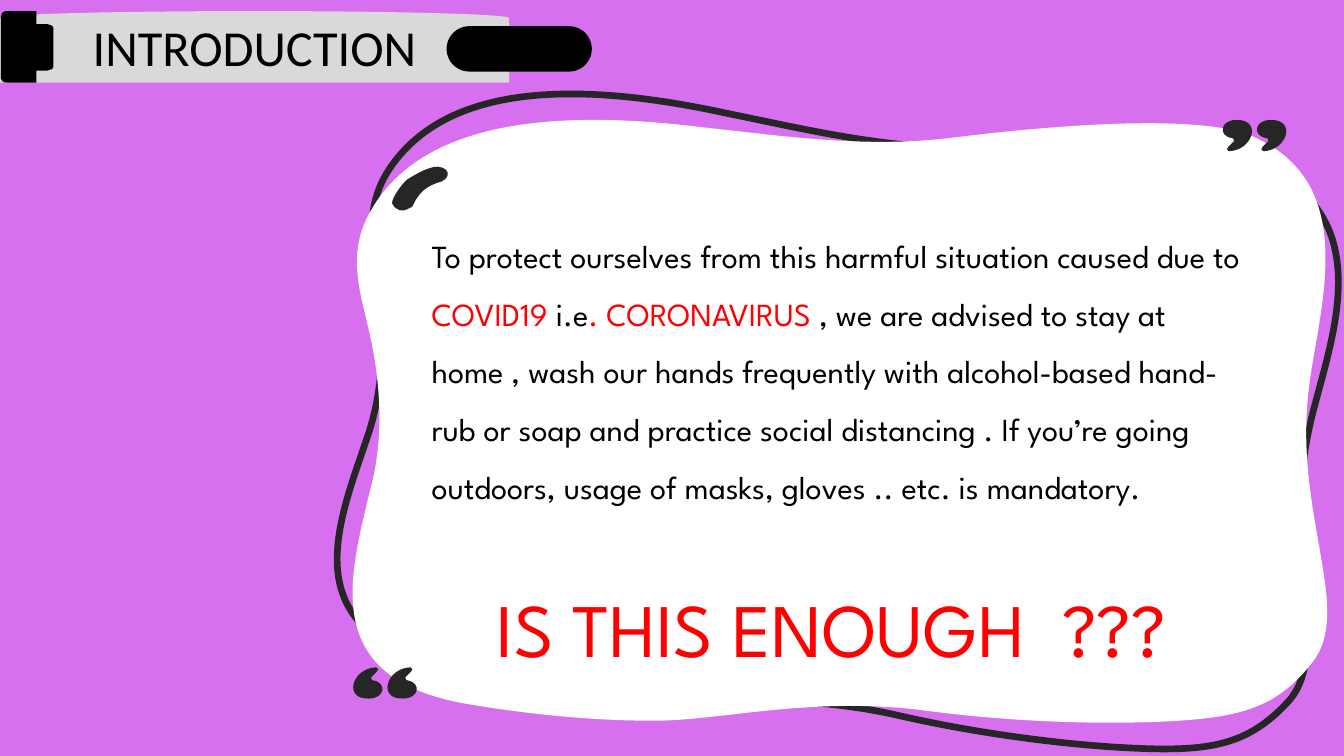
from lxml.etree import SubElement
from pptx import Presentation
from pptx.dml.color import RGBColor
from pptx.enum.shapes import MSO_SHAPE
from pptx.enum.text import MSO_ANCHOR, MSO_AUTO_SIZE, PP_ALIGN
from pptx.oxml.ns import qn
from pptx.util import Inches, Pt

COLORS = {
    "background": "D670EE",
    "ink": "262626",
    "paper": "FFFFFF",
    "ribbon": "D9D9D9",
    "black": "000000",
    "red": "FF0000",
}
BODY_FONT = "League Spartan"

# Outlines: a start point, then lines (x, y) and curves (two controls, end),
# in inches from the corner of their region
RIBBON = [(5.05, 0.71), (0, 0.71), (0, 0.07), (0, 0.03, 1.13, 0, 2.52, 0),
          (3.92, 0, 5.05, 0.03, 5.05, 0.07)]
KNOB = [(0.01, 0.67), (0.01, 0.05), (0.01, 0.02, 0.03, 0, 0.07, 0),
        (0.36, 0), (0.36, 0.13), (0.47, 0.13),
        (0.5, 0.13, 0.53, 0.15, 0.53, 0.17), (0.53, 0.55),
        (0.53, 0.57, 0.5, 0.59, 0.47, 0.59), (0.36, 0.59), (0.36, 0.71),
        (0.07, 0.71), (0.03, 0.71, 0.01, 0.69, 0.01, 0.67)]
BLOB = [(6.18, 6.05), (7.23, 6.19, 8.26, 6.19, 8.83, 6.14),
        (9.39, 6.09, 9.72, 5.97, 10.04, 5.54),
        (10.25, 5.24, 10.14, 4.78, 10.09, 4.45),
        (9.98, 3.85, 9.91, 3.38, 9.99, 2.79),
        (10.09, 2.03, 10.5, 0.79, 9.39, 0.34),
        (8.77, 0.1, 7.05, 0.29, 6.42, 0.37),
        (5.57, 0.47, 4.77, 0.35, 3.94, 0.26),
        (2.47, 0.08, 1.2, 0.21, 0.69, 1.07),
        (0.41, 1.54, 0.59, 1.92, 0.69, 2.42),
        (0.79, 2.93, 0.79, 3.41, 0.68, 3.83),
        (0.46, 4.74, 0.17, 5.72, 1.61, 5.98),
        (2.19, 6.08, 2.85, 6.15, 3.46, 6.15),
        (4.11, 6.16, 5.04, 5.9, 6.18, 6.05)]
QUOTE = [(9.6, 0.19), (9.86, 0.18, 9.77, 0.49, 9.53, 0.5),
         (9.51, 0.5, 9.5, 0.47, 9.52, 0.46),
         (9.54, 0.44, 9.56, 0.42, 9.58, 0.4),
         (9.58, 0.38, 9.57, 0.37, 9.56, 0.37),
         (9.42, 0.35, 9.44, 0.19, 9.6, 0.19)]
HIGHLIGHT = [(1.1, 1.03), (1.16, 0.9, 1.24, 0.84, 1.38, 0.8),
             (1.42, 0.78, 1.45, 0.75, 1.44, 0.71),
             (1.43, 0.67, 1.36, 0.64, 1.29, 0.66),
             (1.21, 0.68, 1.14, 0.72, 1.04, 0.78),
             (0.99, 0.82, 0.88, 0.97, 0.89, 1.02),
             (0.91, 1.07, 0.98, 1.12, 1.07, 1.06),
             (1.08, 1.06, 1.1, 1.05, 1.1, 1.03)]


def color(name):
    return RGBColor.from_string(COLORS[name])


def paint(shape, fill=None, line=None):
    shape.shadow.inherit = False
    if fill:
        shape.fill.solid()
        shape.fill.fore_color.rgb = color(fill)
    else:
        shape.fill.background()
    if line:
        shape.line.color.rgb = color(line)
        shape.line.width = Pt(4.75)
    else:
        shape.line.fill.background()


def place(shape, left, top, width, height):
    shape.left, shape.top = Inches(left), Inches(top)
    shape.width, shape.height = Inches(width), Inches(height)


def curve_points(points, steps=12):
    for step in range(1, steps + 1):
        t = step / steps
        weights = ((1 - t) ** 3, 3 * t * (1 - t) ** 2, 3 * t * t * (1 - t), t ** 3)
        yield tuple(sum(w * p[axis] for w, p in zip(weights, points)) for axis in (0, 1))


def add_outline(slide, box, outline, **style):
    """Draw a closed outline; sampled points size it, true curves shape it."""
    segments = [[(Inches(box[0] + x), Inches(box[1] + y))
                 for x, y in zip(segment[::2], segment[1::2])] for segment in outline]
    start = pen = segments[0][0]
    vertices = []
    for points in segments[1:]:
        vertices += curve_points([pen, *points]) if len(points) == 3 else points
        pen = points[-1]
    builder = slide.shapes.build_freeform(*start)
    builder.add_line_segments(vertices, close=True)
    shape = builder.convert_to_shape()

    path = next(shape._element.iter(qn("a:path")))
    for child in list(path):
        path.remove(child)
    for index, points in enumerate(segments):
        tag = "a:cubicBezTo" if len(points) == 3 else "a:lnTo" if index else "a:moveTo"
        command = SubElement(path, qn(tag))
        for x, y in points:
            SubElement(command, qn("a:pt"), x=str(x - shape.left), y=str(y - shape.top))
    SubElement(path, qn("a:close"))
    paint(shape, **style)
    return shape


def shifted(outline, dx):
    return [tuple(v + dx if i % 2 == 0 else v for i, v in enumerate(s)) for s in outline]


def half_turned(outline, width, height):
    return [tuple((height if i % 2 else width) - v for i, v in enumerate(s))
            for s in outline]


def add_header(slide, box):
    left, top = box
    add_outline(slide, box, RIBBON, fill="ribbon")

    # Title over the ribbon
    title = slide.shapes.title
    slide.shapes._spTree.append(title._element)
    place(title, left, top, 5.05, 0.71)
    frame = title.text_frame
    frame.auto_size = MSO_AUTO_SIZE.NONE
    frame.vertical_anchor = MSO_ANCHOR.MIDDLE
    paragraph = frame.paragraphs[0]
    paragraph.text = "INTRODUCTION"
    paragraph.alignment = PP_ALIGN.CENTER
    paragraph.font.name, paragraph.font.size = "Calibri", Pt(36)
    paragraph.font.color.rgb = color("black")

    # Rounded end and roller
    handle = slide.shapes.add_shape(MSO_SHAPE.ROUNDED_RECTANGLE, Inches(left + 4.43),
                                    Inches(top + 0.15), Inches(1.44), Inches(0.45))
    handle.adjustments[0] = 0.5
    paint(handle, fill="black")
    add_outline(slide, box, KNOB, fill="black")


def add_panel(slide, box):
    left, top = box
    # Tilted outline behind the white blob
    tilted = add_outline(slide, (left - 0.01, top - 0.02), BLOB, line="ink")
    tilted.rotation = 5.3
    add_outline(slide, box, BLOB, fill="paper")

    # Quote marks in opposite corners, and the highlight
    for dx in (0, -0.34):
        quote = shifted(QUOTE, dx)
        add_outline(slide, box, quote, fill="ink")
        add_outline(slide, box, half_turned(quote, 10.26, 6.12), fill="ink")
    add_outline(slide, box, HIGHLIGHT, fill="ink")

    # Advice
    body = slide.placeholders[1]
    slide.shapes._spTree.append(body._element)
    place(body, left + 1.18, top + 1.1, 8.43, 3.51)
    frame = body.text_frame
    frame.auto_size = MSO_AUTO_SIZE.NONE
    paragraph = frame.paragraphs[0]
    properties = paragraph._p.get_or_add_pPr()
    properties.set("marL", "0")
    properties.set("indent", "0")
    SubElement(properties, qn("a:buNone"))
    paragraph.line_spacing = 1.5
    paragraph.space_before = Pt(0)
    paragraph.font.name, paragraph.font.size = BODY_FONT, Pt(23)
    for text, name in (
        ("To protect ourselves from this harmful situation caused due to ", "black"),
        ("COVID19 ", "red"),
        ("i.e", "black"),
        (". CORONAVIRUS", "red"),
        (" , we are advised to stay at home , wash our hands frequently with "
         "alcohol-based hand-rub or soap and practice social distancing . If you’re "
         "going outdoors, usage of masks, gloves .. etc. is mandatory.", "black"),
    ):
        run = paragraph.add_run()
        run.text = text
        run.font.name, run.font.size = BODY_FONT, Pt(23)
        run.font.color.rgb = color(name)

    # Closing question
    question = slide.shapes.add_textbox(Inches(left + 1.44), Inches(top + 4.72),
                                        Inches(7.62), Inches(1.01))
    question.text_frame.word_wrap = False
    paragraph = question.text_frame.paragraphs[0]
    paragraph.text = "IS THIS ENOUGH  ???"
    paragraph.alignment = PP_ALIGN.CENTER
    paragraph.font.name, paragraph.font.size = BODY_FONT, Pt(54)
    paragraph.font.color.rgb = color("red")


def main():
    presentation = Presentation()
    presentation.slide_width, presentation.slide_height = Inches(13.33), Inches(7.5)
    slide = presentation.slides.add_slide(presentation.slide_layouts[1])
    slide.background.fill.solid()
    slide.background.fill.fore_color.rgb = color("background")
    add_panel(slide, (3, 1))
    add_header(slide, (0, 0.11))
    presentation.save("out.pptx")


if __name__ == "__main__":
    main()
